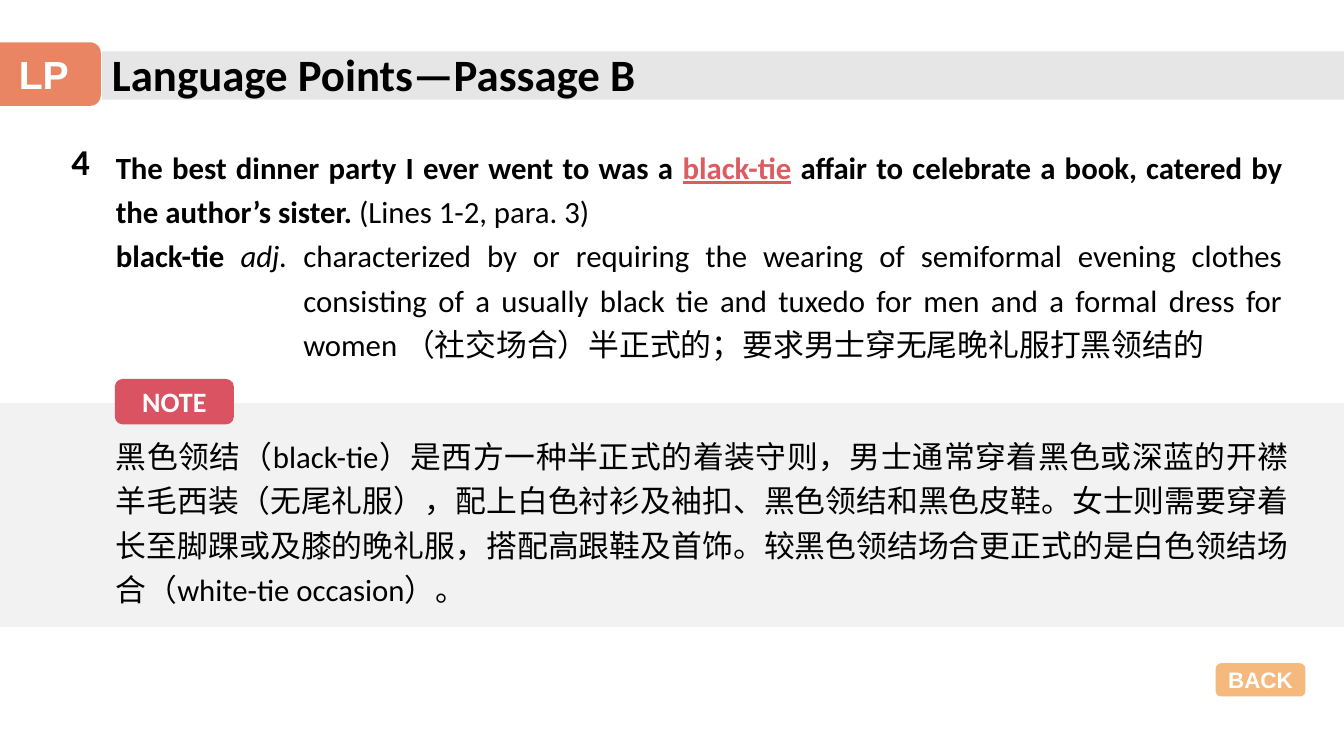
import pptx
import pptx.util
import pptx.dml.color
import pptx.enum.shapes
import pptx.enum.text
import lxml.etree

HUES = {"ink": "000000", "white": "FFFFFF", "band": "E7E6E6", "panel": "F2F2F2",
        "coral": "E98562", "rose": "DA5362", "amber": "F19B48", "term": "DD5C60"}
KIND = pptx.enum.shapes.MSO_SHAPE
ALIGN = pptx.enum.text.PP_ALIGN
ANCHOR = pptx.enum.text.MSO_ANCHOR


class Page:
    """Places elements by percent of the slide's width and height."""

    def __init__(self, deck):
        self.deck = deck
        self.slide = deck.slides.add_slide(deck.slide_layouts[5])
        self.font, self.cjk = "Calibri", "Noto Sans CJK SC"

    def box(self, x, y, w, h):
        wide, high = self.deck.slide_width, self.deck.slide_height
        return [int(n * full / 100) for n, full in zip((x, y, w, h), (wide, high, wide, high))]

    def style(self, run, size, hue="ink", bold=False, italic=False, under=False, font=None):
        face = run.font
        face.name, face.size = font or self.font, pptx.util.Pt(size)
        face.bold, face.italic = bold, italic
        if under:
            face.underline = True
        face.color.rgb = pptx.dml.color.RGBColor.from_string(HUES[hue])
        latin = run._r.rPr.find(pptx.oxml.ns.qn("a:latin"))
        east = lxml.etree.Element(pptx.oxml.ns.qn("a:ea"), typeface=self.cjk)
        latin.addnext(east)

    def title(self, text, area, size):
        """Fills the title placeholder and brings it to the front."""
        head = self.slide.shapes.title
        head.left, head.top, head.width, head.height = self.box(*area)
        frame = head.text_frame
        frame.text = text
        frame.vertical_anchor = ANCHOR.TOP
        frame.auto_size = pptx.enum.text.MSO_AUTO_SIZE.NONE
        line = frame.paragraphs[0]
        line.alignment, line.line_spacing = ALIGN.LEFT, 1.0
        self.style(line.runs[0], size, bold=True)
        head._element.getparent().append(head._element)

    def shape(self, kind, area, hue, alpha=None):
        form = self.slide.shapes.add_shape(kind, *self.box(*area))
        form.shadow.inherit = False
        form.fill.solid()
        form.fill.fore_color.rgb = pptx.dml.color.RGBColor.from_string(HUES[hue])
        form.line.fill.background()
        if alpha:
            tint = form._element.spPr.find(".//" + pptx.oxml.ns.qn("a:srgbClr"))
            lxml.etree.SubElement(tint, pptx.oxml.ns.qn("a:alpha"), val=str(alpha * 1000))
        return form

    def badge(self, text, area, hue, size, font=None, alpha=None):
        frame = self.shape(KIND.ROUNDED_RECTANGLE, area, hue, alpha).text_frame
        frame.text = text
        frame.word_wrap = False
        frame.vertical_anchor = ANCHOR.MIDDLE
        line = frame.paragraphs[0]
        line.alignment = ALIGN.CENTER
        self.style(line.runs[0], size, "white", bold=True, font=font)

    def text(self, area, paras, size, align=ALIGN.JUSTIFY, space=1.2):
        """Adds a text box; each paragraph is a list of (text, style) pairs."""
        frame = self.slide.shapes.add_textbox(*self.box(*area)).text_frame
        frame.word_wrap = True
        for i, parts in enumerate(paras):
            line = frame.add_paragraph() if i else frame.paragraphs[0]
            line.alignment, line.line_spacing = align, space
            for words, look in parts:
                run = line.add_run()
                run.text = words
                self.style(run, size, **look)
        return frame


def hang(line, inches):
    """Gives a paragraph a hanging indent."""
    width = pptx.util.Inches(inches)
    props = line._p.get_or_add_pPr()
    props.set("marL", str(width))
    props.set("indent", str(-width))


def main():
    deck = pptx.Presentation()
    deck.slide_width, deck.slide_height = pptx.util.Inches(13.33), pptx.util.Inches(7.5)
    page = Page(deck)
    bold = {"bold": True}

    page.shape(KIND.RECTANGLE, (0, 53.33, 100, 29.6), "panel")
    page.shape(KIND.RECTANGLE, (7.58, 6.8, 92.42, 6.4), "band")
    page.text((4.58, 17.73, 4.73, 7.2), [[("4", bold)]], 26, ALIGN.LEFT, 1.0)
    page.badge("LP", (-0.98, 5.6, 8.48, 8.4), "coral", 28, "Arial")

    entry = page.text((7.88, 18, 88.28, 30.53), [
        [("The best dinner party I ever went to was a ", bold),
         ("black-tie", {"bold": True, "hue": "term", "under": True}),
         (" affair to celebrate a book, catered by the author’s sister. ", bold),
         ("(Lines 1-2, para. 3)", {})],
        [("black-tie ", bold),
         ("adj. ", {"italic": True}),
         ("characterized by or requiring the wearing of semiformal evening clothes "
          "consisting of a usually black tie and tuxedo for men and a formal dress "
          "for women ", {}),
         ("（社交场合）半正式的；要求男士穿无尾晚礼服打黑领结的", {"font": page.cjk})],
    ], 22)
    hang(entry.paragraphs[1], 1.86)

    page.text((7.88, 56.27, 88.8, 24.53), [[(
        "黑色领结（black-tie）是西方一种半正式的着装守则，男士通常穿着黑色或深蓝的开襟"
        "羊毛西装（无尾礼服），配上白色衬衫及袖扣、黑色领结和黑色皮鞋。女士则需要穿着"
        "长至脚踝或及膝的晚礼服，搭配高跟鞋及首饰。较黑色领结场合更正式的是白色领结场"
        "合（white-tie occasion）。", {})]], 22)
    page.badge("NOTE", (8.55, 50.13, 8.85, 6), "rose", 20)
    page.badge("BACK", (90.45, 87.73, 6.68, 4.4), "amber", 16, "Arial", alpha=71)
    page.title("Language Points—Passage B", (7.58, 5.47, 43.35, 8.53), 32)
    deck.save("out.pptx")


if __name__ == "__main__":
    main()
